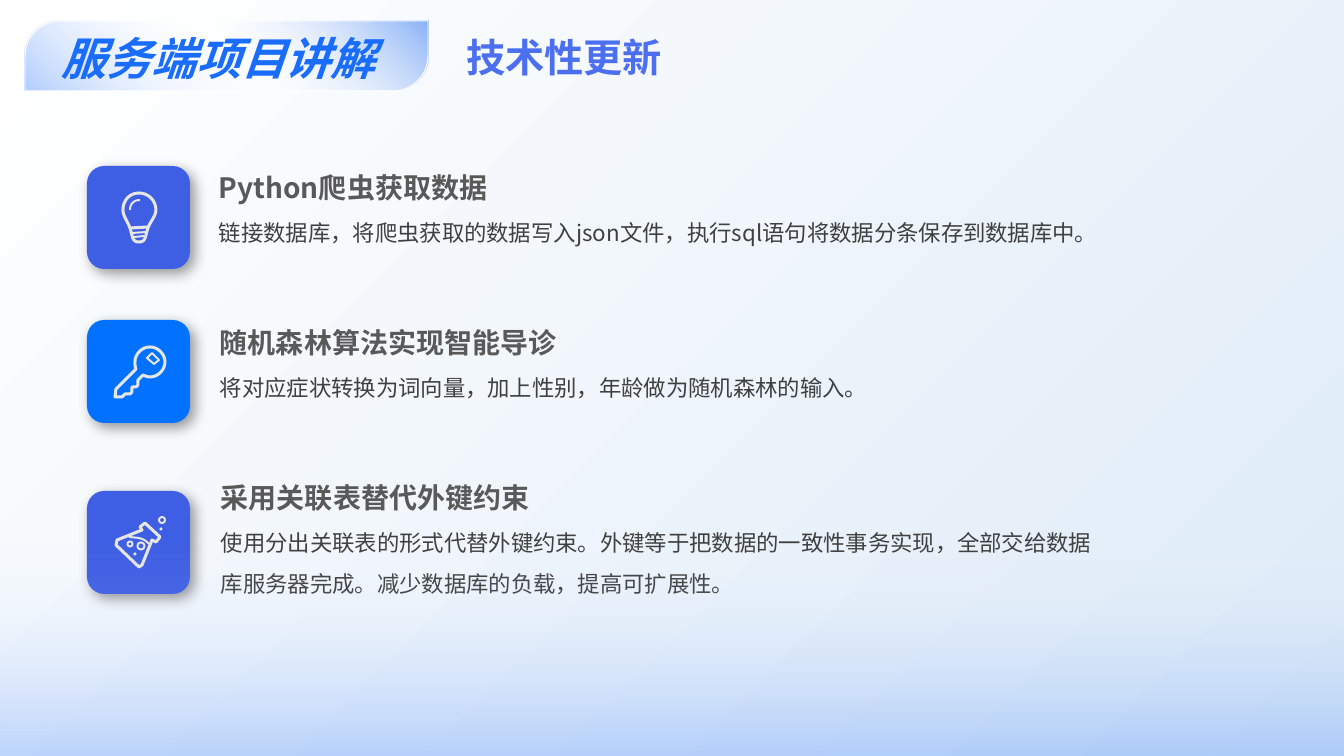
"""Build the slide on technical updates of the server-side project."""
from dataclasses import dataclass

from pptx import Presentation
from pptx.dml.color import RGBColor
from pptx.enum.shapes import MSO_SHAPE as SHAPE
from pptx.enum.text import MSO_ANCHOR as ANCHOR, PP_ALIGN as ALIGN
from pptx.oxml import parse_xml
from pptx.oxml.ns import nsdecls, qn
from pptx.util import Pt

SECTION = "服务端项目讲解"
TITLE = "技术性更新"
ITEMS = [
    {"head": "Python爬虫获取数据",
     "body": "链接数据库，将爬虫获取的数据写入json文件，执行sql语句将数据分条保存到数据库中。",
     "tile_y": 166, "text_x": 209, "body_w": 953, "color": "indigo", "icon": "bulb"},
    {"head": "随机森林算法实现智能导诊",
     "body": "将对应症状转换为词向量，加上性别，年龄做为随机森林的输入。",
     "tile_y": 320, "text_x": 210, "body_w": 923, "color": "azure", "icon": "key"},
    {"head": "采用关联表替代外键约束",
     "body": "使用分出关联表的形式代替外键约束。外键等于把数据的一致性事务实现，"
             "全部交给数据库服务器完成。减少数据库的负载，提高可扩展性。",
     "tile_y": 491, "text_x": 211, "body_w": 912, "color": "indigo", "icon": "flask"},
]

# Each stroke: width, closed, points; a six-number point is a Bezier segment.
BOLD, FINE = 3, 2
ICONS = {
    "bulb": {"strokes": [
        (BOLD, True, [(52, 27), (43, 27, 36, 34, 36, 44), (36, 50, 41, 56, 43, 62),
                      (46, 71, 45, 76, 52, 76), (59, 76, 58, 71, 61, 62),
                      (63, 56, 69, 50, 69, 44), (69, 34, 61, 27, 52, 27)]),
        (BOLD, False, [(43, 62), (61, 61)]),
        (FINE, False, [(45, 67), (59, 66)]),
        (FINE, False, [(47, 71), (57, 70)]),
        (FINE, False, [(43, 44), (43, 38, 47, 34, 53, 34)])],
        "rings": [], "dots": []},
    "key": {"strokes": [
        (BOLD, True, [(49, 49), (29, 69), (28, 77), (35, 77), (38, 74), (43, 74),
                      (45, 72), (45, 67), (49, 67), (51, 65), (51, 60), (56, 55),
                      (58, 56, 61, 57, 63, 57), (71, 57, 78, 50, 78, 42),
                      (78, 34, 71, 27, 63, 27), (55, 27, 48, 34, 48, 42),
                      (48, 44, 48, 47, 49, 49)]),
        (FINE, True, [(65, 33), (72, 40), (67, 44), (60, 38)])],
        "rings": [], "dots": []},
    "flask": {"strokes": [
        (BOLD, True, [(58, 32), (73, 46), (69, 51), (65, 49), (55, 74), (52, 76),
                      (29, 54), (30, 49), (55, 39), (53, 36)]),
        (FINE, False, [(42, 46), (50, 47, 56, 46, 62, 53)])],
        "rings": [(54, 55, 7), (75, 29, 6), (43, 53, 5)],
        "dots": [(48, 63, 3), (74, 38, 3)]},
}


@dataclass(frozen=True)
class Theme:
    """Colours, type sizes and font."""
    font: str = "Noto Sans CJK SC"
    indigo: str = "3E5EE3"
    azure: str = "0171FF"
    blue: str = "1A6CFB"
    deep: str = "045AF0"
    title: str = "4C6FEF"
    head: str = "595959"
    body: str = "404040"
    icon: str = "E7E6E6"
    white: str = "FFFFFF"
    mist: str = "DEEBF7"
    section_pt: int = 32
    title_pt: int = 28
    head_pt: int = 20
    body_pt: int = 16


T = Theme()
PX = 914400 / 100.8
TILE_X, TILE = 87, 103
HEAD_Y, ROW_STEP, HEAD_H, BODY_DY = 144, 155, 65, 57


def px(*values):
    """Turn pixels into EMU."""
    return [round(v * PX) for v in values]


def rgb(color):
    """Return an RGB colour."""
    return RGBColor.from_string(color)


def gradient(fill, element, stops, angle):
    """Fill with (position, colour, opacity) stops at a clockwise angle."""
    fill.gradient()
    old = element.find(".//" + qn("a:gradFill"))
    gs = "".join(f'<a:gs pos="{pos * 1000}"><a:srgbClr val="{color}">'
                 f'<a:alpha val="{alpha * 1000}"/></a:srgbClr></a:gs>'
                 for pos, color, alpha in stops)
    old.getparent().replace(old, parse_xml(
        f'<a:gradFill {nsdecls("a")} rotWithShape="1"><a:gsLst>{gs}</a:gsLst>'
        f'<a:lin ang="{angle * 60000}" scaled="0"/></a:gradFill>'))


def write(sp, text, size, color, bold=False, italic=False, spacing=None,
          anchor=ANCHOR.TOP, wrap=True):
    """Put one formatted paragraph into a shape."""
    tf = sp.text_frame
    tf.word_wrap, tf.vertical_anchor = wrap, anchor
    p = tf.paragraphs[0]
    p.alignment = ALIGN.LEFT
    p.line_spacing = spacing
    r = p.add_run()
    r.text = text
    f = r.font
    f.name, f.size, f.bold, f.italic = T.font, Pt(size), bold, italic
    f.color.rgb = rgb(color)
    f._element.find(qn("a:latin")).addnext(
        parse_xml(f'<a:ea {nsdecls("a")} typeface="{T.font}"/>'))


def add_shape(shapes, kind, box, fill=None, line=None, width=1):
    """Add a flat preset shape."""
    sp = shapes.add_shape(kind, *px(*box))
    return style(sp, fill, line, width)


def style(sp, fill=None, line=None, width=1):
    """Set fill and line, the line width in pixels."""
    sp.shadow.inherit = False
    if fill:
        sp.fill.solid()
        sp.fill.fore_color.rgb = rgb(fill)
    else:
        sp.fill.background()
    if line:
        sp.line.color.rgb = rgb(line)
        sp.line.width = px(width)[0]
    else:
        sp.line.fill.background()
    return sp


def trace(points, steps=8):
    """Return a polyline with its Bezier segments sampled."""
    out = []
    for pt in points:
        if len(pt) == 2:
            out.append(pt)
            continue
        ends = (out[-1], pt[:2], pt[2:4], pt[4:])
        for t in (i / steps for i in range(1, steps + 1)):
            weights = ((1 - t) ** 3, 3 * t * (1 - t) ** 2, 3 * t * t * (1 - t), t ** 3)
            out.append(tuple(sum(w * e[k] for w, e in zip(weights, ends)) for k in (0, 1)))
    return out


def add_icon(shapes, icon, x, y):
    """Draw an icon with its tile corner at x, y."""
    for width, closed, points in icon["strokes"]:
        line = [px(x + a, y + b) for a, b in trace(points)]
        builder = shapes.build_freeform(*line[0], scale=1.0)
        builder.add_line_segments(line[1:], close=closed)
        style(builder.convert_to_shape(), line=T.icon, width=width)
    for name, look in (("rings", {"line": T.icon, "width": FINE}), ("dots", {"fill": T.icon})):
        for cx, cy, d in icon[name]:
            add_shape(shapes, SHAPE.OVAL, (x + cx - d / 2, y + cy - d / 2, d, d), **look)


def add_tile(shapes, y, color):
    """Add a rounded tile with a soft shadow."""
    sp = add_shape(shapes, SHAPE.ROUNDED_RECTANGLE, (TILE_X, y, TILE, TILE), color)
    sp._element.spPr.find(qn("a:effectLst")).append(parse_xml(
        f'<a:outerShdw {nsdecls("a")} blurRad="{Pt(10)}" dist="{Pt(5)}" dir="2700000" '
        'algn="tl" rotWithShape="0"><a:srgbClr val="000000"><a:alpha val="40000"/>'
        '</a:srgbClr></a:outerShdw>'))


def main():
    """Build and save the slide."""
    prs = Presentation()
    prs.slide_width, prs.slide_height = px(1344, 756)
    s = prs.slides.add_slide(prs.slide_layouts[5])
    shapes = s.shapes
    gradient(s.background.fill, s.element, [(0, T.white, 100), (100, T.mist, 100)], 45)

    title = shapes.title
    title.left, title.top, title.width, title.height = px(456, 28, 354, 65)
    write(title, TITLE, T.title_pt, T.title, bold=True)

    for i, item in enumerate(ITEMS):
        x, y = item["text_x"], HEAD_Y + i * ROW_STEP
        add_tile(shapes, item["tile_y"], getattr(T, item["color"]))
        add_icon(shapes, ICONS[item["icon"]], TILE_X, item["tile_y"])
        body = shapes.add_textbox(*px(x, y + BODY_DY, item["body_w"], 94))
        write(body, item["body"], T.body_pt, T.body, spacing=1.5)
        head = shapes.add_textbox(*px(x, y, 357, HEAD_H))
        write(head, item["head"], T.head_pt, T.head, bold=True, anchor=ANCHOR.BOTTOM)

    banner = add_shape(shapes, SHAPE.ROUND_2_DIAG_RECTANGLE, (25, 21, 403, 70), line=T.white)
    banner.adjustments[0], banner.adjustments[1] = 0.5, 0
    gradient(banner.fill, banner.element,
             [(0, T.deep, 46), (49, T.white, 0), (100, T.blue, 34)], 135)
    label = shapes.add_textbox(*px(52, 26, 337, 65))
    write(label, SECTION, T.section_pt, T.blue, bold=True, italic=True, wrap=False)

    glow = add_shape(shapes, SHAPE.RECTANGLE, (0, 536, 1344, 220))
    gradient(glow.fill, glow.element, [(0, T.white, 0), (100, T.blue, 26)], 90)
    prs.save("out.pptx")


if __name__ == "__main__":
    main()
